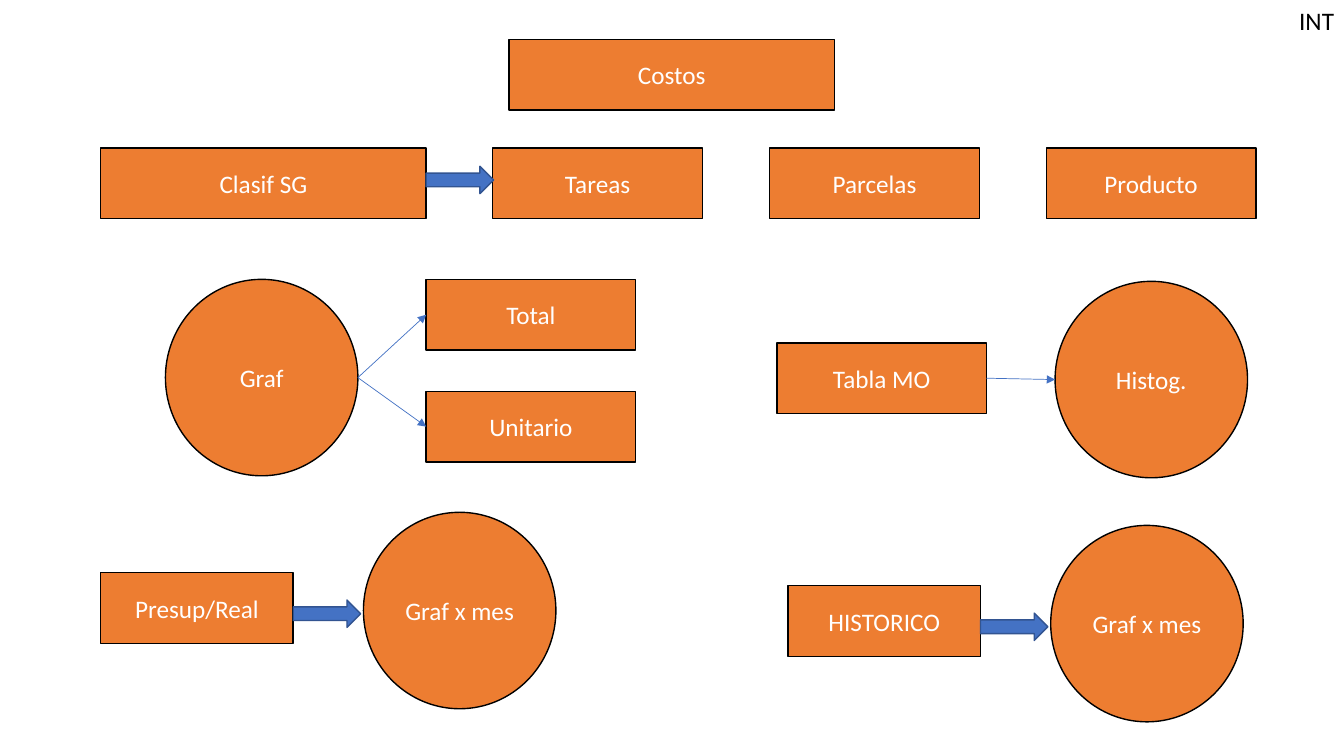
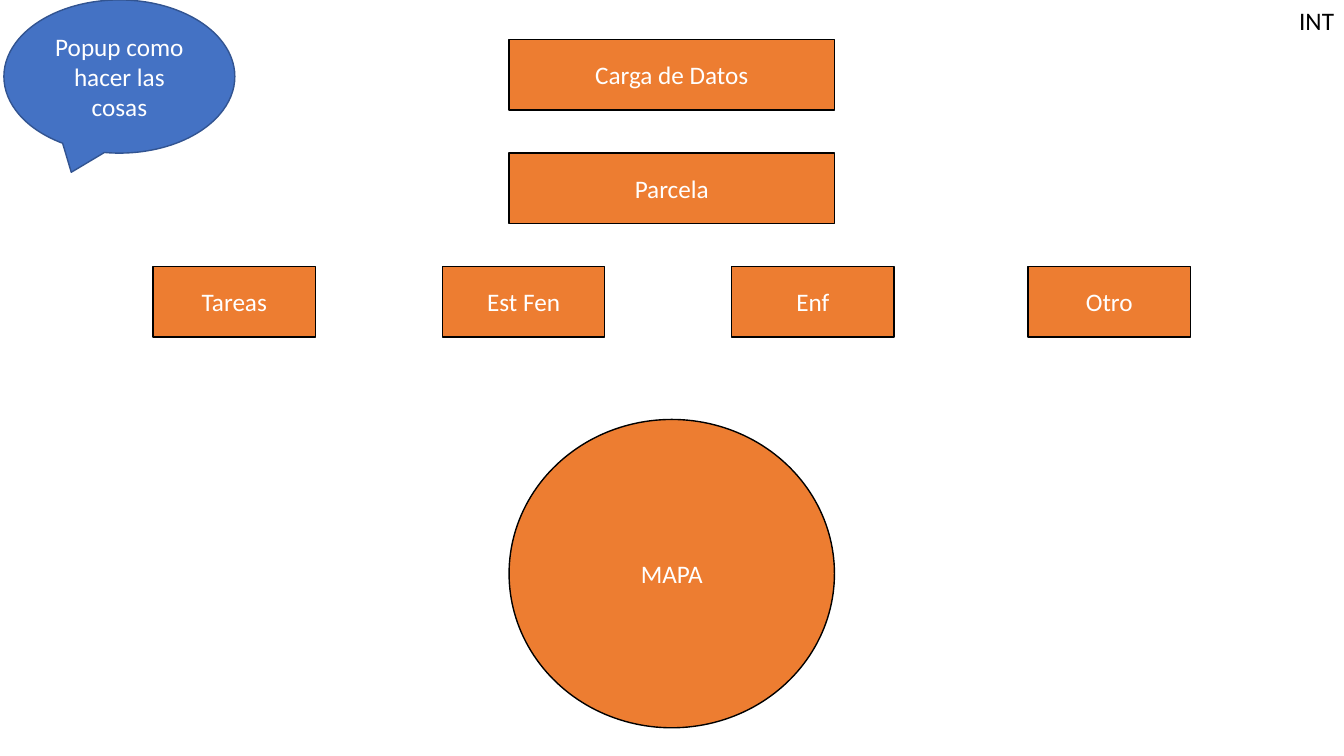
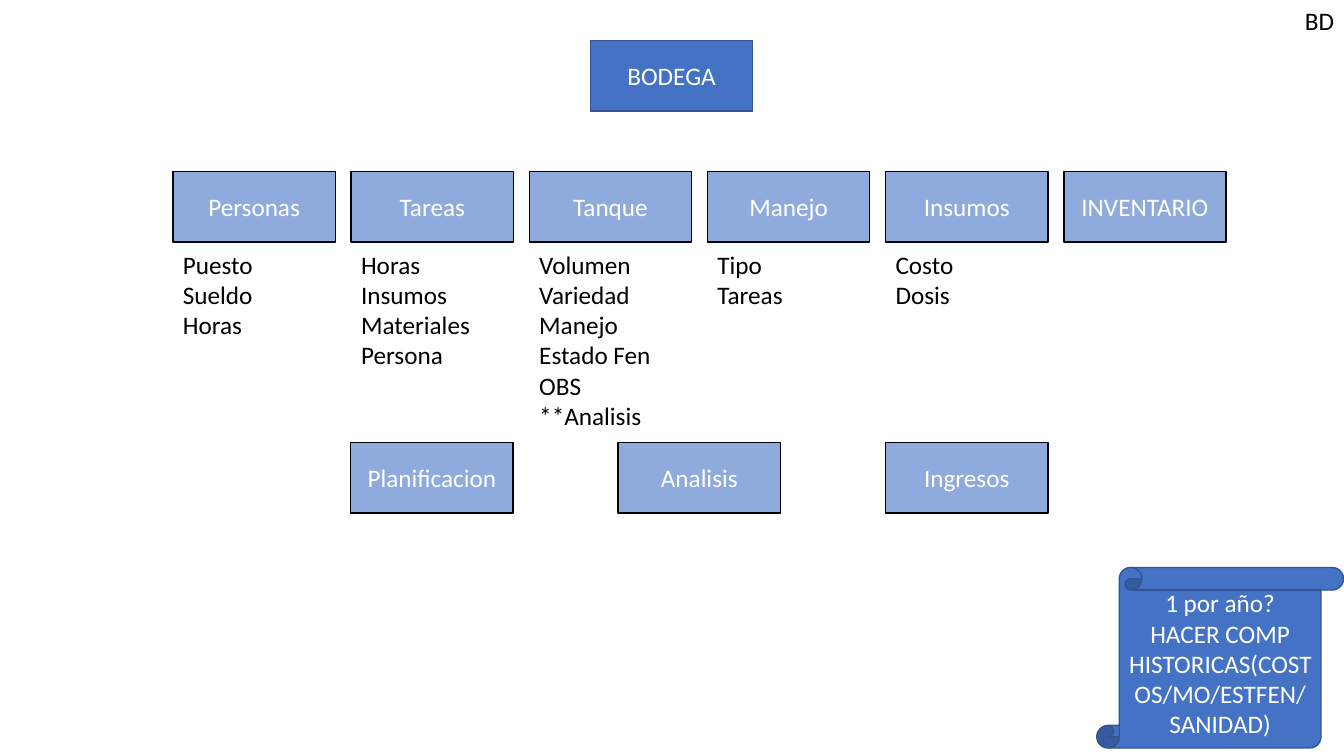
"""Build three planning slides: costs, data entry and winery database."""
from dataclasses import dataclass

from pptx import Presentation
from pptx import util as u
from pptx.dml.color import RGBColor
from pptx.enum import shapes, text
from pptx.oxml.ns import qn
from lxml import etree


@dataclass(frozen=True)
class Theme:
    orange: tuple = ("ED7D31", "000000")
    pale: tuple = ("8FAADC", "000000")
    blue: tuple = ("4472C4", "325491")
    ink: str = "000000"
    white: str = "FFFFFF"
    font: str = "Calibri"
    size: int = 18
    outline: float = 1
    thin: float = 0.5


T = Theme()
M = shapes.MSO_SHAPE
RECT, OVAL, ARROW = M.RECTANGLE, M.OVAL, M.RIGHT_ARROW
LEFT, CENTER, RIGHT = text.PP_ALIGN.LEFT, text.PP_ALIGN.CENTER, text.PP_ALIGN.RIGHT


def write(sp, words, color, align):
    tf = sp.text_frame
    tf.word_wrap = True
    tf.text = words
    for p in tf.paragraphs:
        p.alignment = align
        for r in p.runs:
            r.font.name = T.font
            r.font.size = u.Pt(T.size)
            r.font.color.rgb = RGBColor.from_string(color)


def block(s, kind, words, x, y, w, h, style):
    sp = s.shapes.add_shape(kind, u.Cm(x), u.Cm(y), u.Cm(w), u.Cm(h))
    sp.shadow.inherit = False
    fill, line = style
    sp.fill.solid()
    sp.fill.fore_color.rgb = RGBColor.from_string(fill)
    sp.line.color.rgb = RGBColor.from_string(line)
    sp.line.width = u.Pt(T.outline)
    if words:
        write(sp, words, T.white, CENTER)
    return sp


prs = Presentation()
prs.slide_width, prs.slide_height = u.Cm(33.87), u.Cm(19.05)
slides = []
for tag in ("INT", "INT", "BD"):
    s = prs.slides.add_slide(prs.slide_layouts[6])
    tb = s.shapes.add_textbox(u.Cm(28.86), 0, u.Cm(5.01), u.Cm(1.03))
    write(tb, tag, T.ink, RIGHT)
    slides.append(s)
costs, entry, winery = slides

BOX_H = 1.78
WIDE, MID, SMALL = 8.2, 5.28, 4.09
DISC_W, DISC_H = 4.85, 4.95
ARROW_W, ARROW_H = 1.7, 0.69
WIDE_X = 12.83

for words, x, y, w in (
    ("Costos", WIDE_X, 0.99, WIDE),
    ("Clasif SG", 2.54, 3.73, WIDE),
    ("Tareas", 12.42, 3.73, MID),
    ("Parcelas", 19.4, 3.73, MID),
    ("Producto", 26.37, 3.73, MID),
):
    block(costs, RECT, words, x, y, w, BOX_H, T.orange)
block(costs, ARROW, "", 10.74, 4.19, ARROW_W, ARROW_H, T.blue)

graf = block(costs, OVAL, "Graf", 4.17, 7.04, DISC_W, DISC_H, T.orange)
total = block(costs, RECT, "Total", 10.74, 7.04, MID, BOX_H, T.orange)
unit = block(costs, RECT, "Unitario", 10.74, 9.86, MID, BOX_H, T.orange)
labour = block(costs, RECT, "Tabla MO", 19.58, 8.64, MID, BOX_H, T.orange)
histogram = block(costs, OVAL, "Histog.", 26.59, 7.09, DISC_W, DISC_H, T.orange)

for a, b in ((graf, total), (graf, unit), (labour, histogram)):
    cx = costs.shapes.add_connector(
        shapes.MSO_CONNECTOR.STRAIGHT,
        a.left + a.width, a.top + a.height // 2, b.left, b.top + b.height // 2)
    cx.line.color.rgb = RGBColor.from_string(T.blue[0])
    cx.line.width = u.Pt(T.thin)
    etree.SubElement(cx.line._get_or_add_ln(), qn("a:tailEnd"), type="triangle")
    etree.SubElement(cx._element.spPr, qn("a:effectLst"))

for words, x, y in (("Presup/Real", 2.54, 14.43), ("HISTORICO", 19.86, 14.76)):
    block(costs, RECT, words, x, y, DISC_W, BOX_H, T.orange)
    block(costs, OVAL, "Graf x mes", x + 6.62, y - 1.52, DISC_W, DISC_H, T.orange)
    block(costs, ARROW, "", x + DISC_W, y + 0.69, ARROW_W, ARROW_H, T.blue)

for words, y in (("Carga de Datos", 0.99), ("Parcela", 3.86)):
    block(entry, RECT, words, WIDE_X, y, WIDE, BOX_H, T.orange)
for words, x in (("Tareas", 3.86), ("Est Fen", 11.15), ("Enf", 18.44), ("Otro", 25.91)):
    block(entry, RECT, words, x, 6.71, SMALL, BOX_H, T.orange)
block(entry, OVAL, "MAPA", WIDE_X, 10.57, WIDE, 7.77, T.orange)
block(entry, M.OVAL_CALLOUT, "Popup como hacer las cosas", 0.1, 0, 5.82, 3.86, T.blue)

block(winery, RECT, "BODEGA", 14.88, 1.02, SMALL, BOX_H, T.blue)
tables = (
    ("Personas", ("Puesto", "Sueldo", "Horas")),
    ("Tareas", ("Horas", "Insumos", "Materiales", "Persona")),
    ("Tanque", ("Volumen", "Variedad", "Manejo", "Estado Fen", "OBS", "**Analisis")),
    ("Manejo", ("Tipo", "Tareas")),
    ("Insumos", ("Costo", "Dosis")),
    ("INVENTARIO", ()),
)
for i, (words, fields) in enumerate(tables):
    x = 4.36 + 4.49 * i
    block(winery, RECT, words, x, 4.32, SMALL, BOX_H, T.pale)
    if fields:
        tb = winery.shapes.add_textbox(
            u.Cm(x), u.Cm(6.15), u.Cm(SMALL), u.Cm(0.25 + 0.77 * len(fields)))
        write(tb, "\n".join(fields), T.ink, LEFT)
for i, words in enumerate(("Planificacion", "Analisis", "Ingresos")):
    block(winery, RECT, words, 8.84 + 6.74 * i, 11.15, SMALL, BOX_H, T.pale)
block(winery, M.VERTICAL_SCROLL,
      "1 por año? HACER COMP HISTORICAS(COSTOS/MO/ESTFEN/SANIDAD)",
      27.64, 14.3, 6.22, 4.55, T.blue)

prs.save("out.pptx")
